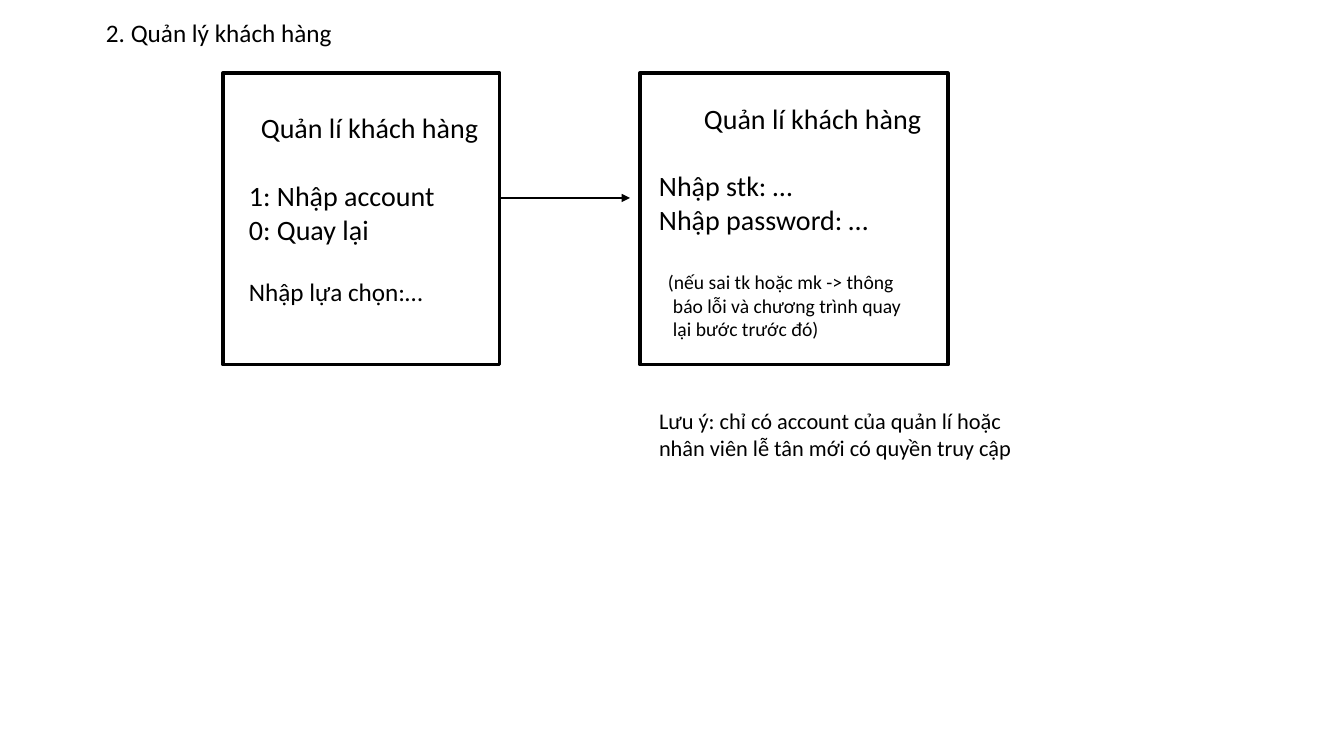
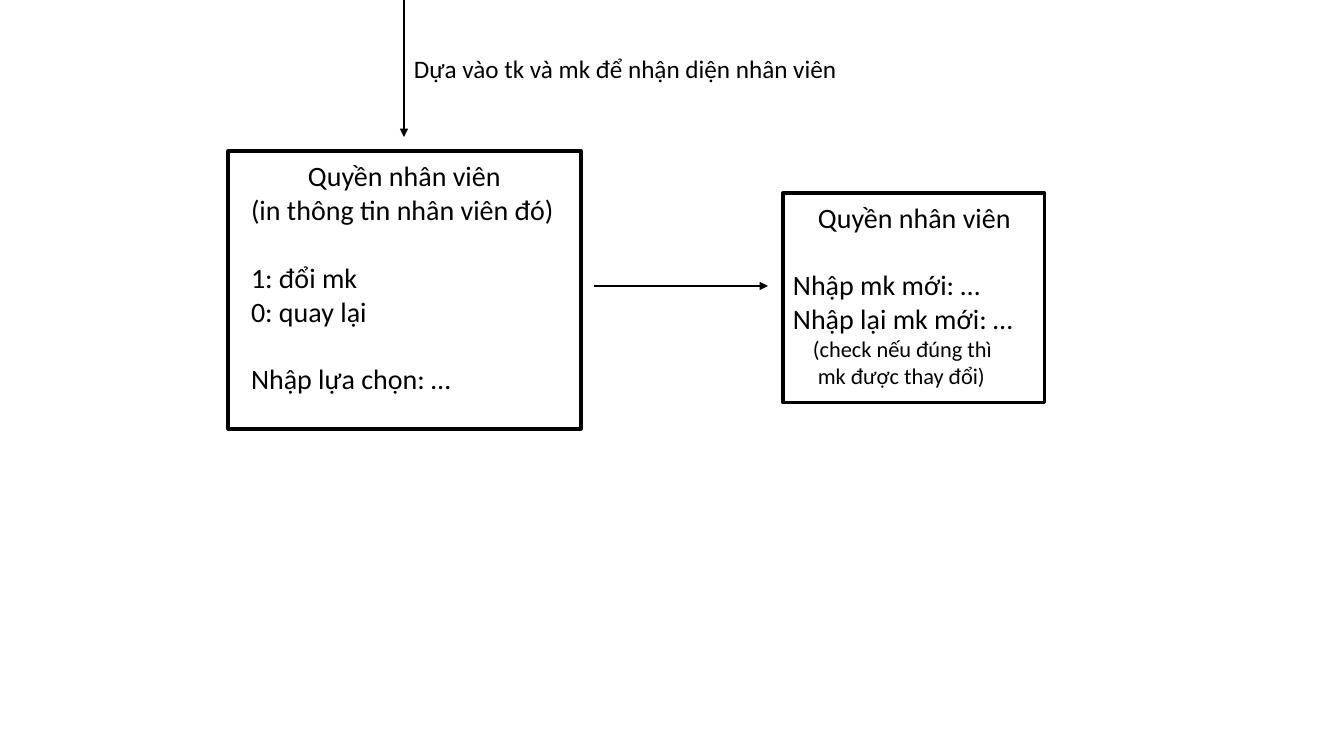
from pptx import Presentation
from pptx.dml.color import RGBColor
from pptx.enum.shapes import MSO_CONNECTOR, MSO_SHAPE
from pptx.enum.text import MSO_ANCHOR, MSO_AUTO_SIZE, PP_ALIGN
from pptx.oxml.ns import qn
from pptx.util import Pt
from lxml.etree import SubElement

BLACK = RGBColor(0, 0, 0)
WHITE = RGBColor(255, 255, 255)
FONT = "Calibri"
LINE_HEIGHT = 1.22  # of the font size
TITLE_ONLY, BLANK = 5, 6

# Content: areas are left, top, width, height in pixels.
# A text line is text, size, indent in pixels, size of the empty line above it.
SLIDES = [
    dict(
        title=("2. Quản lý khách hàng", (96, 12, 270, 40)),
        screens=[
            ((223, 73, 277, 292), (239, 106, 252, 207), [
                ("Quản lí khách hàng", 20, 12, 0),
                ("1: Nhập account", 20, 0, 20),
                ("0: Quay lại", 20, 0, 0),
                ("Nhập lựa chọn:…", 18, 0, 18),
            ]),
            ((640, 73, 308, 292), (649, 96, 290, 316), [
                ("Quản lí khách hàng", 20, 45, 0),
                ("Nhập stk: …", 20, 0, 20),
                ("Nhập password: …", 20, 0, 0),
                ("(nếu sai tk hoặc mk -> thông", 14, 9, 20),
                ("báo lỗi và chương trình quay", 14, 14, 0),
                ("lại bước trước đó)", 14, 14, 0),
            ]),
        ],
        labels=[((649, 402, 672, 65), [
            ("Lưu ý: chỉ có account của quản lí hoặc", 16, 0, 0),
            ("nhân viên lễ tân mới có quyền truy cập", 16, 0, 0),
        ])],
        arrows=[(500, 198, 630, 198)],
    ),
    dict(
        title=None,
        screens=[
            ((228, 151, 353, 278), (241, 154, 326, 312), [
                ("Quyền nhân viên", 20, 57, 0),
                ("(in thông tin nhân viên đó)", 20, 0, 0),
                ("1: đổi mk", 20, 0, 20),
                ("0: quay lại", 20, 0, 0),
                ("Nhập lựa chọn: …", 20, 0, 20),
            ]),
            ((783, 193, 262, 210), (783, 195, 247, 231), [
                ("Quyền nhân viên", 20, 25, 0),
                ("Nhập mk mới: …", 20, 0, 20),
                ("Nhập lại mk mới: …", 20, 0, 0),
                ("(check nếu đúng thì", 16, 20, 0),
                ("mk được thay đổi)", 16, 25, 0),
            ]),
        ],
        labels=[((404, 48, 449, 40), [
            ("Dựa vào tk và mk để nhận diện nhân viên", 18, 0, 0),
        ])],
        arrows=[(404, 0, 404, 137), (594, 286, 768, 286)],
    ),
]


def px(*values):
    return [round(v * 914400 / 100.8) for v in values]


def write(tf, lines):
    tf.word_wrap = True
    tf.auto_size = MSO_AUTO_SIZE.NONE
    tf.vertical_anchor = MSO_ANCHOR.TOP
    tf.margin_left, tf.margin_top, tf.margin_right, tf.margin_bottom = px(10, 5, 0, 5)
    for i, (text, size, indent, gap) in enumerate(lines):
        p = tf.paragraphs[0] if i == 0 else tf.add_paragraph()
        p.text = text
        p.alignment = PP_ALIGN.LEFT
        p.space_before = Pt(round(gap * LINE_HEIGHT, 1))
        p.font.name, p.font.size = FONT, Pt(size)
        p.font.color.rgb = BLACK
        if indent:
            p._p.get_or_add_pPr().set("marL", str(px(indent)[0]))


def add_text(s, area, lines):
    write(s.shapes.add_textbox(*px(*area)).text_frame, lines)


def add_frame(s, area):
    sp = s.shapes.add_shape(MSO_SHAPE.RECTANGLE, *px(*area))
    sp.shadow.inherit = False
    sp.fill.solid()
    sp.fill.fore_color.rgb = WHITE
    sp.line.color.rgb = BLACK
    sp.line.width = Pt(2.25)


def add_arrow(s, ends):
    line = s.shapes.add_connector(MSO_CONNECTOR.STRAIGHT, *px(*ends))
    line.line.color.rgb = BLACK
    line.line.width = Pt(1.5)
    SubElement(line.line._get_or_add_ln(), qn("a:tailEnd"), type="triangle")
    SubElement(line._element.spPr, qn("a:effectLst"))


prs = Presentation()
prs.slide_width, prs.slide_height = px(1344, 756)

for content in SLIDES:
    title = content["title"]
    s = prs.slides.add_slide(prs.slide_layouts[TITLE_ONLY if title else BLANK])
    if title:
        text, area = title
        sp = s.shapes.title
        sp.left, sp.top, sp.width, sp.height = px(*area)
        write(sp.text_frame, [(text, 18, 0, 0)])

    # Screens: a frame with its text on top
    for frame, area, lines in content["screens"]:
        add_frame(s, frame)
        add_text(s, area, lines)

    # Notes and arrows around the screens
    for area, lines in content["labels"]:
        add_text(s, area, lines)
    for ends in content["arrows"]:
        add_arrow(s, ends)

prs.save("out.pptx")
